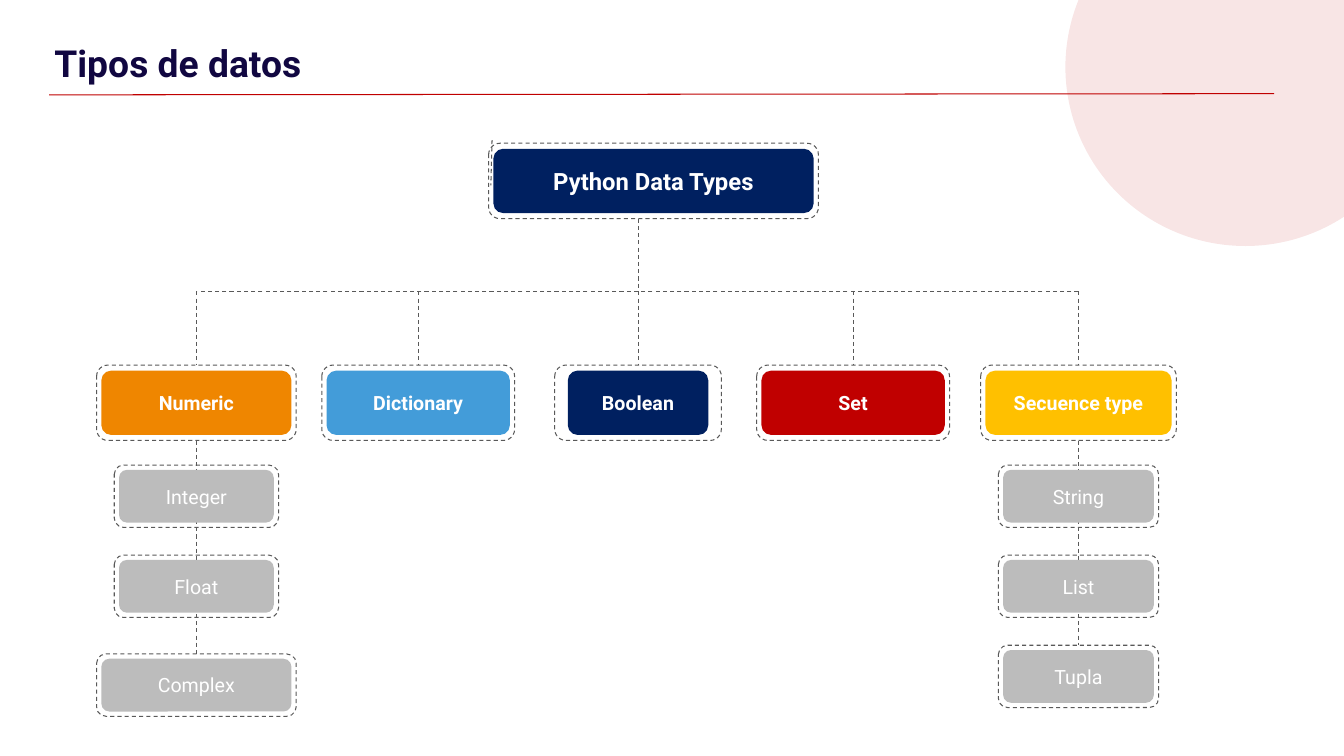
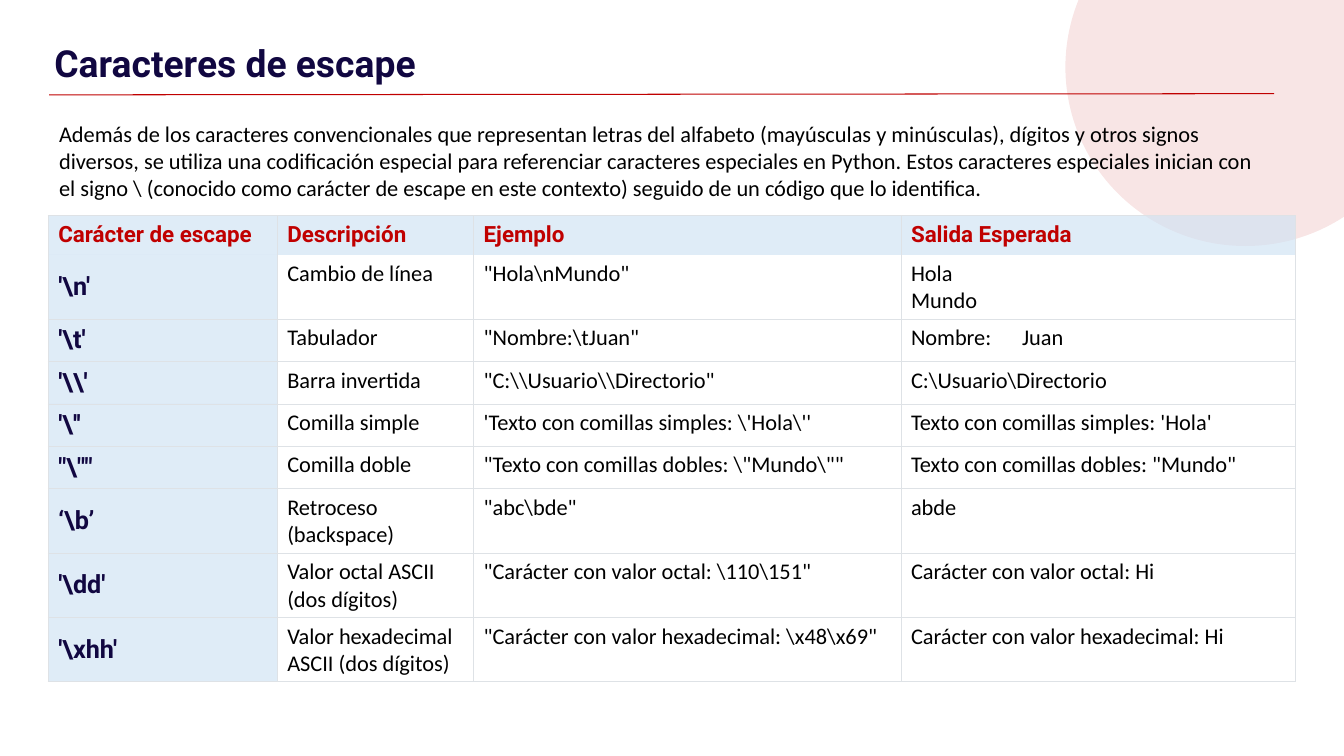
from lxml import etree
from pptx import Presentation
from pptx.dml.color import RGBColor
from pptx.enum.dml import MSO_LINE
from pptx.enum.shapes import MSO_CONNECTOR, MSO_SHAPE
from pptx.enum.text import MSO_ANCHOR, MSO_AUTO_SIZE, PP_ALIGN
from pptx.oxml.ns import qn
from pptx.util import Cm, Pt

DASH = MSO_LINE.DASH
STRAIGHT = MSO_CONNECTOR.STRAIGHT
ELLIPSE, ROUNDED = MSO_SHAPE.OVAL, MSO_SHAPE.ROUNDED_RECTANGLE
TOP, MIDDLE = MSO_ANCHOR.TOP, MSO_ANCHOR.MIDDLE
LEFT, CENTER = PP_ALIGN.LEFT, PP_ALIGN.CENTER

# Shared style
HEADING_FONT, BODY_FONT = "Roboto", "Calibri"
INK, BLACK, WHITE = "110741", "000000", "FFFFFF"
RED, NAVY, ORANGE, BLUE, YELLOW = "C00000", "002060", "EF8600", "439CD9", "FFC000"
GREY, DASH_GREY = "BCBCBC", "595959"
PALE_BLUE, BORDER = "CFE2F3", "DEE2E6"
TITLE_ONLY = 5

# Data type tree: lengths in cm
STEM_X, BRANCH_Y = 16.08, 7.34
ROOT_TOP, TYPE_TOP, CARD_HEIGHT, LEAF_HEIGHT = 3.61, 9.2, 1.9, 1.57
# text, fill, centre, width, side gap, leaves (text, top, width)
TYPES = [
    ("Numeric", ORANGE, 4.95, 5.03, 0.12,
     [("Integer", 11.72, 4.14), ("Float", 13.99, 4.14), ("Complex", 16.48, 5.03)]),
    ("Dictionary", BLUE, 10.54, 4.86, 0.12, []),
    ("Boolean", NAVY, STEM_X, 4.2, 0.33, []),
    ("Set", RED, 21.5, 4.86, 0.12, []),
    ("Secuence type", YELLOW, 27.18, 4.93, 0.12,
     [("String", 11.72, 4.04), ("List", 13.99, 4.04), ("Tupla", 16.26, 4.04)]),
]

INTRO = (
    "Además de los caracteres convencionales que representan letras del alfabeto "
    "(mayúsculas y minúsculas), dígitos y otros signos diversos, se utiliza una "
    "codificación especial para referenciar caracteres especiales en Python. Estos "
    "caracteres especiales inician con el signo \\ (conocido como carácter de escape "
    "en este contexto) seguido de un código que lo identifica."
)
COLUMN_WIDTHS = [5.77, 4.95, 10.77, 9.93]
HEADER_ROW, SHORT_ROW, TALL_ROW = 0.98, 1.07, 1.62
ROW_HEIGHTS = [HEADER_ROW, TALL_ROW] + [SHORT_ROW] * 4 + [TALL_ROW] * 3
ESCAPES = [
    ("Carácter de escape", "Descripción", "Ejemplo", "Salida Esperada"),
    (r"'\n'", "Cambio de línea", r'"Hola\nMundo"', "Hola\nMundo"),
    (r"'\t'", "Tabulador", r'"Nombre:\tJuan"', "Nombre:\tJuan"),
    (r"'\\'", "Barra invertida", r'"C:\\Usuario\\Directorio"', r"C:\Usuario\Directorio"),
    (r"'\''", "Comilla simple", r"'Texto con comillas simples: \'Hola\''",
     "Texto con comillas simples: 'Hola'"),
    (r'"\""', "Comilla doble", r'"Texto con comillas dobles: \"Mundo\""',
     'Texto con comillas dobles: "Mundo"'),
    (r"‘\b’", "Retroceso (backspace)", r'"abc\bde"', "abde"),
    (r"'\dd'", "Valor octal ASCII (dos dígitos)",
     r'"Carácter con valor octal: \110\151"', "Carácter con valor octal: Hi"),
    (r"'\xhh'", "Valor hexadecimal ASCII (dos dígitos)",
     r'"Carácter con valor hexadecimal: \x48\x69"', "Carácter con valor hexadecimal: Hi"),
]


def color(value):
    return RGBColor.from_string(value)


def paint(fill, value):
    fill.solid()
    fill.fore_color.rgb = color(value)


def set_alpha(element, percent):
    """Make the solid fill inside an XML element partly transparent."""
    tint = element.find(qn("a:solidFill")).find(qn("a:srgbClr"))
    etree.SubElement(tint, qn("a:alpha"), val=str(percent * 1000))


def add_tab_stop(para, position):
    stops = etree.SubElement(para._p.get_or_add_pPr(), qn("a:tabLst"))
    etree.SubElement(stops, qn("a:tab"), pos=str(Cm(position)), algn="l")


def write(frame, text, size=16, font=BODY_FONT, ink=BLACK, bold=False,
          align=LEFT, anchor=TOP, margins=None):
    """Fill a text frame, one paragraph per line; margins are (side, top) in cm."""
    frame.word_wrap = True
    frame.vertical_anchor = anchor
    if margins:
        frame.margin_left = frame.margin_right = Cm(margins[0])
        frame.margin_top = frame.margin_bottom = Cm(margins[1])
    for index, line in enumerate(text.split("\n")):
        para = frame.add_paragraph() if index else frame.paragraphs[0]
        para.alignment = align
        if "\t" in line:
            add_tab_stop(para, 2.8)
        span = para.add_run()
        span.text = line
        span.font.size = Pt(size)
        span.font.name = font
        span.font.bold = bold
        span.font.color.rgb = color(ink)


def add_line(page, start, end, ink=DASH_GREY, dash=DASH):
    line = page.shapes.add_connector(STRAIGHT, *(Cm(value) for value in start + end))
    line.line.color.rgb = color(ink)
    line.line.width = Pt(0.75)
    if dash:
        line.line.dash_style = dash
    etree.SubElement(line.element.spPr, qn("a:effectLst"))


def add_shape(page, kind, left, top, width, height, fill=None):
    """Add a filled shape without outline, or a dashed outline without fill."""
    shape = page.shapes.add_shape(kind, Cm(left), Cm(top), Cm(width), Cm(height))
    shape.shadow.inherit = False
    if kind == ROUNDED:
        shape.adjustments[0] = 0.15
    if fill:
        paint(shape.fill, fill)
        shape.line.fill.background()
    else:
        shape.fill.background()
        shape.line.color.rgb = color(DASH_GREY)
        shape.line.width = Pt(0.75)
        shape.line.dash_style = DASH
    return shape


def add_card(page, text, fill, center, top, width, height, side_gap=0.12,
             edge_gap=0.14, size=14, bold=True):
    """Add a coloured card inside a dashed frame; the lengths are the frame's."""
    left = center - width / 2
    card = add_shape(page, ROUNDED, left + side_gap, top + edge_gap,
                     width - 2 * side_gap, height - 2 * edge_gap, fill)
    write(card.text_frame, text, size=size, font=HEADING_FONT, ink=WHITE, bold=bold,
          align=CENTER, anchor=MIDDLE, margins=(0, 0))
    add_shape(page, ROUNDED, left, top, width, height)


def add_page(deck, title):
    """Add a page with the corner circle, the title and the red rule."""
    page = deck.slides.add_slide(deck.slide_layouts[TITLE_ONLY])
    circle = add_shape(page, ELLIPSE, 26.85, -2.82, 9.07, 9.02, RED)
    set_alpha(circle.element.spPr, 10)
    add_line(page, (1.24, 2.39), (32.11, 2.36), ink=RED, dash=None)
    box = page.shapes.title
    box.left, box.top, box.width, box.height = Cm(1.37), Cm(1.02), Cm(28.4), Cm(1.1)
    box.text_frame.auto_size = MSO_AUTO_SIZE.NONE
    write(box.text_frame, title, size=26.6, font=HEADING_FONT, ink=INK, bold=True,
          margins=(0, 0))
    return page


def style_borders(cell, hidden_edge):
    properties = cell._tc.get_or_add_tcPr()
    for index, edge in enumerate("LRTB"):
        line = etree.Element(qn("a:ln" + edge), w=str(Pt(0.75)))
        if edge == hidden_edge:
            etree.SubElement(line, qn("a:noFill"))
        else:
            solid = etree.SubElement(line, qn("a:solidFill"))
            etree.SubElement(solid, qn("a:srgbClr"), val=BORDER)
        properties.insert(index, line)


def fill_cell(cell, text, row, column):
    cell.margin_left = cell.margin_right = Cm(0.25)
    cell.margin_top = cell.margin_bottom = Cm(0.13)
    is_label = row == 0 or column == 0
    if is_label:
        cell.vertical_anchor = MIDDLE
        write(cell.text_frame, text, size=18 if row else 16, font=HEADING_FONT,
              ink=INK if row else RED, bold=True, anchor=MIDDLE)
    else:
        write(cell.text_frame, text)
    paint(cell.fill, PALE_BLUE if is_label else WHITE)
    if is_label:
        set_alpha(cell._tc.tcPr, 65)
    # No line between the header and the first row
    style_borders(cell, {0: "B", 1: "T"}.get(row))


def add_escape_table(page):
    holder = page.shapes.add_table(
        len(ROW_HEIGHTS), len(COLUMN_WIDTHS), Cm(1.22), Cm(5.44),
        Cm(sum(COLUMN_WIDTHS)), Cm(sum(ROW_HEIGHTS)))
    table = holder.table
    table.first_row = table.horz_banding = False
    for column, width in zip(table.columns, COLUMN_WIDTHS):
        column.width = Cm(width)
    for row, height in zip(table.rows, ROW_HEIGHTS):
        row.height = Cm(height)
    for row, texts in enumerate(ESCAPES):
        for column, text in enumerate(texts):
            fill_cell(table.cell(row, column), text, row, column)


def build_data_types(deck):
    page = add_page(deck, "Tipos de datos")
    # Root and branches
    add_card(page, "Python Data Types", NAVY, 16.47, ROOT_TOP, 8.31, CARD_HEIGHT, size=17)
    add_line(page, (12.4, 3.53), (12.37, 4.67))
    add_line(page, (STEM_X, ROOT_TOP + CARD_HEIGHT), (STEM_X, BRANCH_Y))
    add_line(page, (TYPES[-1][2], BRANCH_Y), (TYPES[0][2], BRANCH_Y))
    # Types and their leaves
    for text, fill, center, width, side_gap, leaves in TYPES:
        add_line(page, (center, BRANCH_Y), (center, TYPE_TOP))
        add_card(page, text, fill, center, TYPE_TOP, width, CARD_HEIGHT, side_gap)
        if leaves:
            add_line(page, (center, TYPE_TOP + CARD_HEIGHT), (center, leaves[-1][1]))
        for leaf, top, leaf_width in leaves:
            add_card(page, leaf, GREY, center, top, leaf_width, LEAF_HEIGHT,
                     edge_gap=0.12, bold=False)


def build_escapes(deck):
    page = add_page(deck, "Caracteres de escape")
    box = page.shapes.add_textbox(Cm(1.24), Cm(2.9), Cm(31.09), Cm(2.18))
    write(box.text_frame, INTRO, margins=(0.25, 0.13))
    add_escape_table(page)


def main():
    deck = Presentation()
    deck.slide_width, deck.slide_height = Cm(33.87), Cm(19.05)
    build_data_types(deck)
    build_escapes(deck)
    deck.save("out.pptx")


if __name__ == "__main__":
    main()
